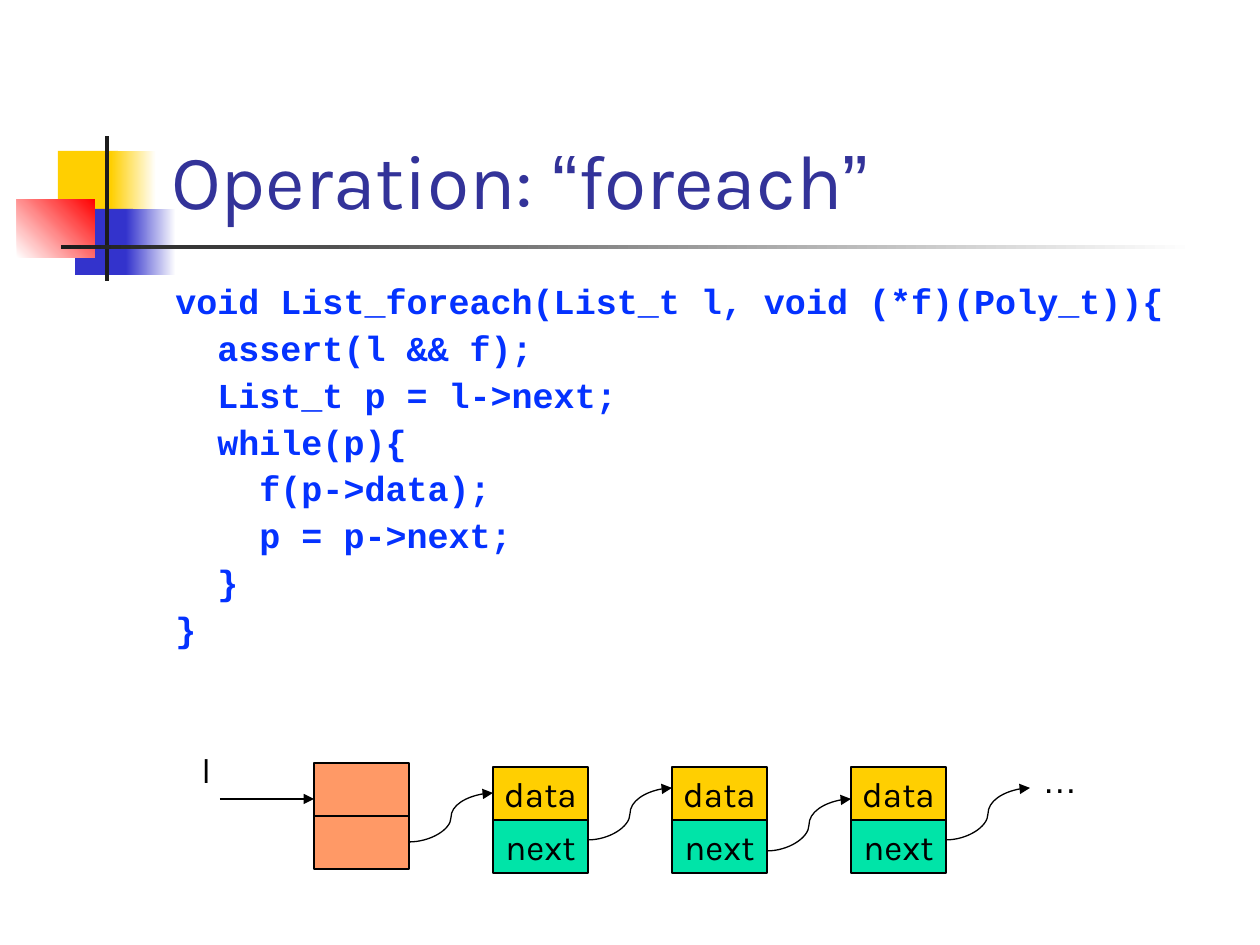
from lxml import etree
from pptx import Presentation
from pptx import util as u
from pptx.dml.color import RGBColor
from pptx.enum import shapes, text
from pptx.oxml import ns

PX = u.Inches(1) / 126

WHITE = RGBColor(0xFF, 0xFF, 0xFF)
BLACK = RGBColor(0x00, 0x00, 0x00)
CHARCOAL = RGBColor(0x1C, 0x1C, 0x1C)
YELLOW = RGBColor(0xFF, 0xCF, 0x01)
BLUE = RGBColor(0x33, 0x33, 0xCC)
RED = RGBColor(0xFF, 0x00, 0x00)
ORANGE = RGBColor(0xFF, 0x99, 0x66)
GREEN = RGBColor(0x00, 0xE4, 0xA8)
TITLE_COLOR = RGBColor(0x33, 0x33, 0x99)
CODE_COLOR = RGBColor(0x04, 0x32, 0xFF)

TITLE_RUNS = [("Operation: ", "Karla"), ("“", "Arial"),
              ("foreach", "Karla"), ("”", "Arial")]
CODE = """void List_foreach(List_t l, void (*f)(Poly_t)){
  assert(l && f);
  List_t p = l->next;
  while(p){
    f(p->data);
    p = p->next;
  }
}"""

NODE_LEFT, NODE_STEP, NODE_WIDTH, CELL_HEIGHT = 314, 179, 95, 53
HEAD_TOP, NODE_TOP = 763, 767
NEXT_CURVES = [(842, 793), (840, 788), (851, 799), (840, 788)]


def px(*lengths):
    return [round(length * PX) for length in lengths]


def style_run(run, font, size, color, bold=False):
    run.font.name = font
    run.font.size = u.Pt(size)
    run.font.color.rgb = color
    run.font.bold = bold


def add_rectangle(container, box, color):
    shape = container.shapes.add_shape(shapes.MSO_SHAPE.RECTANGLE, *px(*box))
    shape.shadow.inherit = False
    shape.fill.solid()
    shape.fill.fore_color.rgb = color
    shape.line.fill.background()
    return shape


def add_fade(slide, box, start, end, angle=0):
    shape = add_rectangle(slide, box, start)
    shape.fill.gradient()
    shape.fill.gradient_angle = angle
    for stop, color in zip(shape.fill.gradient_stops, (start, end)):
        stop.color.rgb = color


def add_text(slide, box, content, font="Karla", size=20, color=BLACK,
             bold=False, wrap=True):
    shape = slide.shapes.add_textbox(*px(*box))
    frame = shape.text_frame
    frame.word_wrap = wrap
    frame.text = content
    for paragraph in frame.paragraphs:
        for run in paragraph.runs:
            style_run(run, font, size, color, bold)
    return frame


def add_title(slide):
    frame = add_text(slide, (159, 29, 1074, 202), "")
    frame.vertical_anchor = text.MSO_ANCHOR.BOTTOM
    for content, font in TITLE_RUNS:
        run = frame.paragraphs[0].add_run()
        run.text = content
        style_run(run, font, 44, TITLE_COLOR)


def add_code(slide):
    frame = add_text(slide, (163, 278, 1071, 567), CODE,
                     "Courier New", 20, CODE_COLOR, bold=True)
    for paragraph in frame.paragraphs:
        paragraph.line_spacing = 0.9
        paragraph.space_before = u.Pt(5.2)


def add_node(slide, left, top, cells):
    group = slide.shapes.add_group_shape()
    for row, (label, color) in enumerate(cells):
        box = (left, top + row * CELL_HEIGHT, NODE_WIDTH, CELL_HEIGHT)
        cell = add_rectangle(group, box, color)
        cell.line.color.rgb = BLACK
        cell.line.width = u.Pt(0.75)
        if label:
            frame = cell.text_frame
            frame.word_wrap = False
            frame.vertical_anchor = text.MSO_ANCHOR.MIDDLE
            frame.text = label
            frame.paragraphs[0].alignment = text.PP_ALIGN.CENTER
            style_run(frame.paragraphs[0].runs[0], "Karla", 20, BLACK)


def add_arrow(slide, kind, start, end):
    connector = slide.shapes.add_connector(kind, *px(*start, *end))
    connector.line.color.rgb = BLACK
    connector.line.width = u.Pt(0.75)
    line = connector.line._get_or_add_ln()
    etree.SubElement(line, ns.qn("a:tailEnd"), type="triangle")
    etree.SubElement(connector._element.spPr, ns.qn("a:effectLst"))


def add_decoration(slide):
    add_rectangle(slide, (58, 151, 60, 66), YELLOW)
    add_fade(slide, (111, 151, 45, 66), YELLOW, WHITE)
    add_rectangle(slide, (75, 209, 58, 66), BLUE)
    add_fade(slide, (126, 209, 50, 66), BLUE, WHITE)
    add_fade(slide, (17, 199, 78, 59), WHITE, RED, angle=45)
    add_rectangle(slide, (105, 136, 4, 145), CHARCOAL)
    add_fade(slide, (61, 245, 1134, 4), CHARCOAL, WHITE)


def add_linked_list(slide):
    add_node(slide, NODE_LEFT, HEAD_TOP, [("", ORANGE), ("", ORANGE)])
    for index in range(1, 4):
        add_node(slide, NODE_LEFT + index * NODE_STEP, NODE_TOP,
                 [("data", YELLOW), ("next", GREEN)])
    add_arrow(slide, shapes.MSO_CONNECTOR.STRAIGHT,
              (220, 799), (NODE_LEFT, 799))
    for index, (start_y, end_y) in enumerate(NEXT_CURVES):
        left = NODE_LEFT + index * NODE_STEP
        add_arrow(slide, shapes.MSO_CONNECTOR.CURVE,
                  (left + NODE_WIDTH, start_y), (left + NODE_STEP, end_y))
    add_text(slide, (189, 742, 34, 54), "l", wrap=False)
    add_text(slide, (1030, 752, 95, 54), "…", font="Arial")


def main():
    presentation = Presentation()
    presentation.slide_width = u.Inches(10)
    presentation.slide_height = u.Inches(7.5)
    slide = presentation.slides.add_slide(presentation.slide_layouts[6])
    add_decoration(slide)
    add_title(slide)
    add_code(slide)
    add_linked_list(slide)
    presentation.save("out.pptx")


if __name__ == "__main__":
    main()
